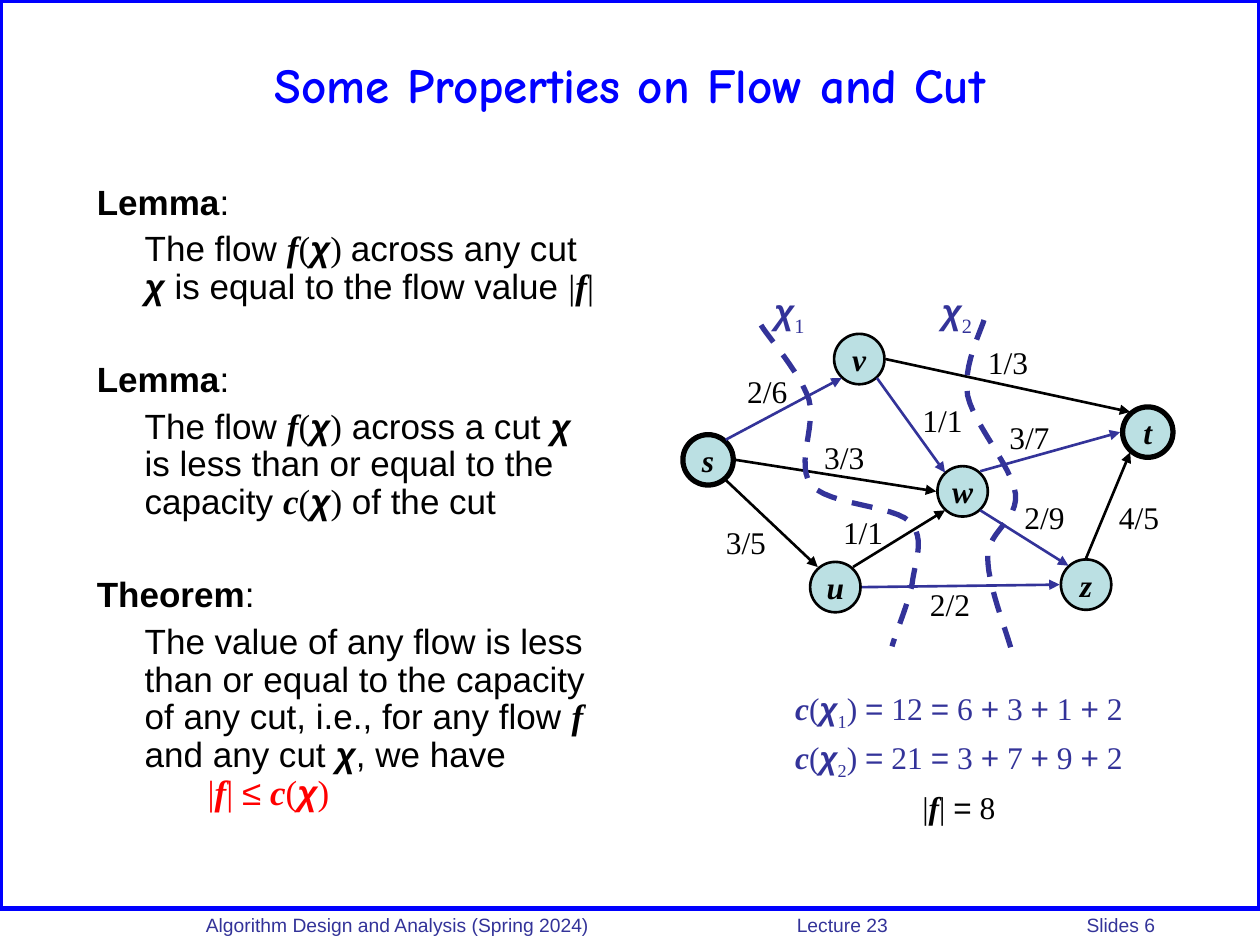
from itertools import groupby
from typing import NamedTuple

from lxml.etree import SubElement
from pptx import Presentation
from pptx.dml.color import RGBColor
from pptx.enum.dml import MSO_LINE as Dash
from pptx.enum.shapes import MSO_CONNECTOR as Link, MSO_SHAPE as Form
from pptx.enum.text import MSO_ANCHOR as Anchor, PP_ALIGN as Align
from pptx.oxml.ns import qn
from pptx.util import Inches, Pt

BLUE = RGBColor(0x00, 0x00, 0xFF)
NAVY = RGBColor(0x33, 0x33, 0x99)
RED = RGBColor(0xFF, 0x00, 0x00)
BLACK = RGBColor(0x00, 0x00, 0x00)
TEAL = RGBColor(0xBB, 0xE0, 0xE3)
SANS, SERIF, COMIC = "Arial", "Times New Roman", "Comic Neue"
SUBS = {"₁": "1", "₂": "2"}
COLS, ROWS = 100, 75


class Node(NamedTuple):
    name: str
    col: float
    row: float
    line: float = 1.5


class Edge(NamedTuple):
    start: tuple
    end: tuple
    color: RGBColor


class Label(NamedTuple):
    text: str
    col: float
    row: float


class Para(NamedTuple):
    text: str
    before: float = 0
    left: float = 0
    color: RGBColor = BLACK
    tail: str = ""


NODES = [
    Node("w", 74.4, 37), Node("s", 54.2, 34.5, 3), Node("v", 66.2, 26.5),
    Node("u", 64.3, 44.6), Node("t", 89.1, 32.3, 3), Node("z", 84.2, 44.4),
]
EDGES = [
    Edge((57.6, 34.9), (66.8, 30), NAVY), Edge((57.6, 38.1), (64.9, 45), BLACK),
    Edge((69.6, 30), (75, 37.5), NAVY), Edge((70.3, 28.5), (89.7, 32.7), BLACK),
    Edge((77.8, 37.4), (88.9, 34.3), NAVY), Edge((77.8, 40.5), (84.8, 44.9), NAVY),
    Edge((86.2, 44.3), (89.7, 35.9), BLACK), Edge((68.4, 46.6), (84.1, 46.4), NAVY),
    Edge((67.7, 45), (75, 40.5), BLACK), Edge((58.4, 36.5), (74.3, 39), BLACK),
]
LABELS = [
    Label("3/3", 64.4, 34.3), Label("2/9", 80.3, 39), Label("1/1", 72.2, 31.3),
    Label("1/3", 77.4, 26.7), Label("3/7", 79.1, 32.7), Label("2/6", 58.3, 29),
    Label("4/5", 87.8, 39), Label("1/1", 65.9, 40.2), Label("3/5", 56.6, 41),
    Label("2/2", 72.8, 45.9),
]
CUTS = [
    [(60.4, 25.8), (61, 26.8), (63.5, 29.6), (64.2, 31.7), (64.8, 33.8),
     (63.1, 36.9), (64.4, 38.5), (65.8, 40.1), (70.9, 40.1), (72.2, 41.4),
     (73.5, 42.7), (72.6, 44.6), (72.4, 46.3), (72.1, 47.9), (71.1, 50.2), (70.8, 51.3)],
    [(78.1, 25.4), (77.8, 26.4), (76.4, 29.1), (76.8, 31.4), (77.3, 33.7),
     (80.3, 37), (80.6, 39.2), (80.8, 41.3), (78.5, 42.1), (78.4, 44.1),
     (78.3, 46.2), (79.9, 50.1), (80.3, 51.7)],
]
MARKS = [Label("$χ₁$", 60.3, 22.5), Label("$χ₂$", 73.6, 22.5)]
BODY = [
    Para("*Lemma*:"),
    Para("The flow $f(χ) $across any cut $χ$ is equal to the flow value $|f|$", 5, 0.38),
    Para("*Lemma*:", 31.5),
    Para("The flow $f(χ)$ across a cut $χ$ is less than or equal to the capacity "
         "$c(χ)$ of the cut", 5, 0.38),
    Para("*Theorem*:", 31.5),
    Para("The value of any flow is less than or equal to the capacity of any cut, "
         "i.e., for any flow $f$ and any cut $χ$, we have", 5, 0.38, BLACK, "$|f| ≤ c(χ)$"),
]
SUMS = [
    Para("$c(χ₁) = 12 = 6 + 3 + 1 + 2$", color=NAVY),
    Para("$c(χ₂) = 21 = 3 + 7 + 9 + 2$", 3.6, color=NAVY),
    Para("$|f| = 8$", 3.6),
]

deck = Presentation()
deck.slide_width, deck.slide_height = Inches(10), Inches(7.5)
slide = deck.slides.add_slide(deck.slide_layouts[6])
shapes = slide.shapes


def spot(col: float, row: float) -> tuple:
    """Turn a grid position into lengths on the slide."""
    return round(deck.slide_width * col / COLS), round(deck.slide_height * row / ROWS)


def style(char: str) -> tuple:
    """Give the face, slant and subscript flag of a character in a formula."""
    return SANS if char in "χ=+≤" else SERIF, char.isalpha(), char in SUBS


def add_run(para, text: str, size: float, face: str, color: RGBColor,
            bold: bool = False, slant: bool = False):
    """Add one formatted run to a paragraph."""
    run = para.add_run()
    run.text = text
    font = run.font
    font.size, font.name, font.bold, font.italic = Pt(size), face, bold, slant
    font.color.rgb = color
    return run


def add_rich(para, text: str, size: float, face: str, color: RGBColor, bold: bool) -> None:
    """Add text in which $ marks formulas and * marks bold words."""
    for i, part in enumerate(text.split("$")):
        if i % 2:
            for (font, slant, low), chars in groupby(part, style):
                word = "".join(SUBS.get(char, char) for char in chars)
                run = add_run(para, word, size, font, color, slant, slant)
                if low:
                    run.font._element.set("baseline", "-25000")
        else:
            for j, word in enumerate(part.split("*")):
                if word:
                    add_run(para, word, size, face, color, bold or j % 2 == 1)


def write(frame, paras: list, *, size: float = 18, face: str = SERIF, align=Align.CENTER,
          anchor=Anchor.TOP, wrap: bool = False, bold: bool = False,
          space: float = 1.0, tabs: tuple = ()) -> None:
    """Fill a text frame with formatted paragraphs."""
    frame.word_wrap, frame.vertical_anchor = wrap, anchor
    for i, item in enumerate(paras):
        para = frame.paragraphs[0] if i == 0 else frame.add_paragraph()
        para.alignment, para.line_spacing = align, space
        para.space_before = Pt(item.before)
        props = para._p.get_or_add_pPr()
        if item.left:
            props.set("marL", str(Inches(item.left)))
        if tabs:
            stops = SubElement(props, qn("a:tabLst"))
            for stop in tabs:
                SubElement(stops, qn("a:tab"), pos=str(Inches(stop)), algn="l")
        add_rich(para, item.text, size, face, item.color, bold)
        if item.tail:
            para.add_line_break()
            add_rich(para, "\t" + item.tail, size, face, RED, bold)


def add_text(col: float, row: float, wide: float, high: float, paras: list, **form) -> None:
    """Place a text box on the grid."""
    box = shapes.add_textbox(*spot(col, row), *spot(wide, high))
    write(box.text_frame, paras, **form)


def add_form(kind, col: float, row: float, wide: float, high: float,
             line: float, color: RGBColor, fill=None):
    """Place an outlined preset shape on the grid."""
    shape = shapes.add_shape(kind, *spot(col, row), *spot(wide, high))
    shape.shadow.inherit = False
    if fill is None:
        shape.fill.background()
    else:
        shape.fill.solid()
        shape.fill.fore_color.rgb = fill
    shape.line.color.rgb, shape.line.width = color, Pt(line)
    return shape


def add_edge(edge: Edge) -> None:
    """Draw an arrow between two points."""
    link = shapes.add_connector(Link.STRAIGHT, *spot(*edge.start), *spot(*edge.end))
    link.line.color.rgb, link.line.width = edge.color, Pt(1.5)
    SubElement(link.line._get_or_add_ln(), qn("a:tailEnd"), type="triangle")
    SubElement(link._element.spPr, qn("a:effectLst"))


def add_cut(knots: list, steps: int = 12) -> None:
    """Draw a dashed curve through cubic Bézier knots."""
    pen = shapes.build_freeform(*spot(*knots[0]))
    points = []
    for i in range(0, len(knots) - 1, 3):
        for step in range(1, steps + 1):
            t = step / steps
            mix = ((1 - t) ** 3, 3 * t * (1 - t) ** 2, 3 * t * t * (1 - t), t ** 3)
            points.append(spot(*(sum(m * k[axis] for m, k in zip(mix, knots[i:i + 4]))
                                 for axis in (0, 1))))
    pen.add_line_segments(points, close=False)
    curve = pen.convert_to_shape()
    curve.shadow.inherit = False
    curve.fill.background()
    curve.line.color.rgb, curve.line.width = NAVY, Pt(3)
    curve.line.dash_style = Dash.DASH


add_form(Form.RECTANGLE, 0, 0, COLS, 72.1, 3, BLUE)
foot = "Algorithm Design and Analysis (Spring 2024)\tLecture 23\tSlides 6"
add_text(15.35, 72, 84.65, 2.6, [Para(foot, color=NAVY)], size=11, face=SANS,
         align=Align.LEFT, wrap=True, tabs=(4.69, 6.99))
add_text(5, 1.7, 90, 10, [Para("Some Properties on Flow and Cut", color=BLUE)], size=28,
         face=COMIC, anchor=Anchor.MIDDLE, wrap=True, bold=True)
add_text(6.7, 14.2, 41.7, 54.2, BODY, size=20, face=SANS, align=Align.LEFT,
         wrap=True, space=0.9)
for node in NODES:
    disc = add_form(Form.OVAL, node.col, node.row, 4, 4, node.line, BLACK, TEAL)
    write(disc.text_frame, [Para(f"${node.name}$")], anchor=Anchor.MIDDLE)
for label in LABELS:
    add_text(label.col, label.row, 5.2, 4, [Para(label.text)])
for edge in EDGES:
    add_edge(edge)
for cut in CUTS:
    add_cut(cut)
for mark in MARKS:
    add_text(mark.col, mark.row, 4.7, 4.8, [Para(mark.text, color=NAVY)], size=20, wrap=True)
add_text(61.6, 54.2, 29, 10.8, SUMS)
deck.save("out.pptx")
